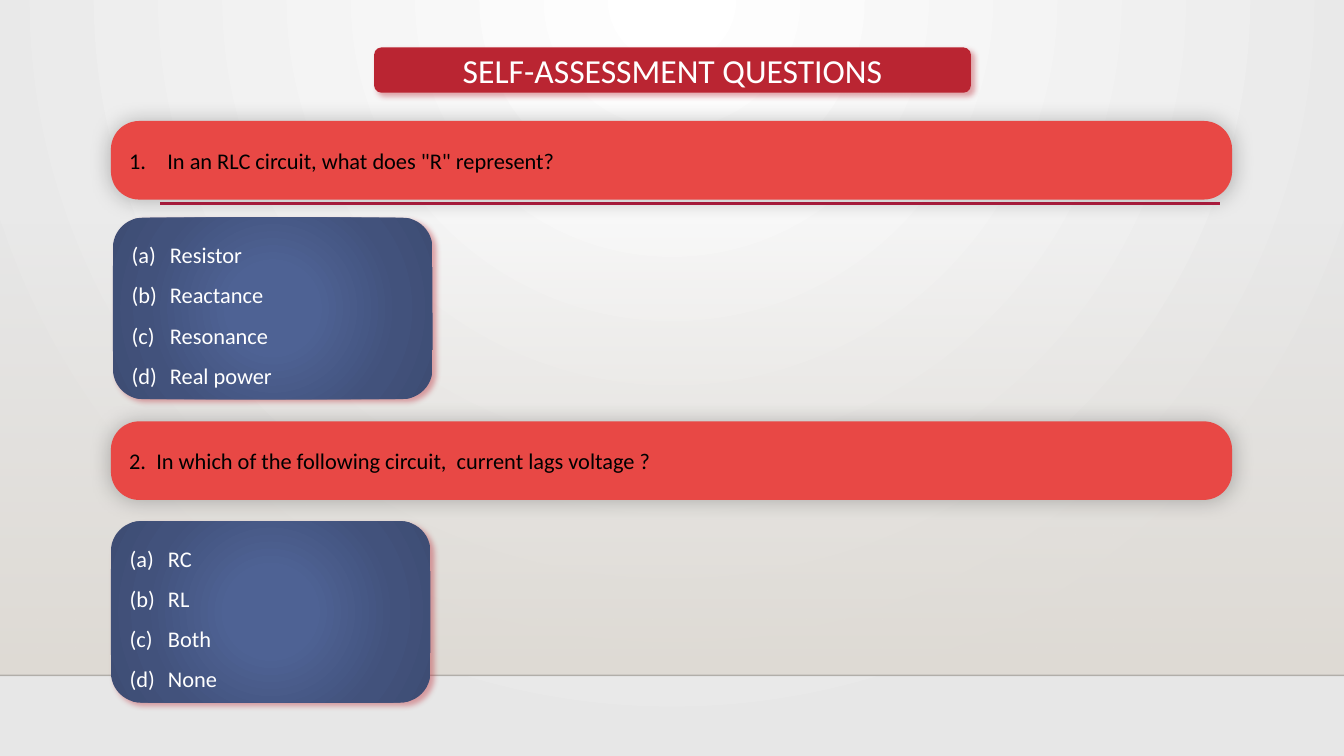
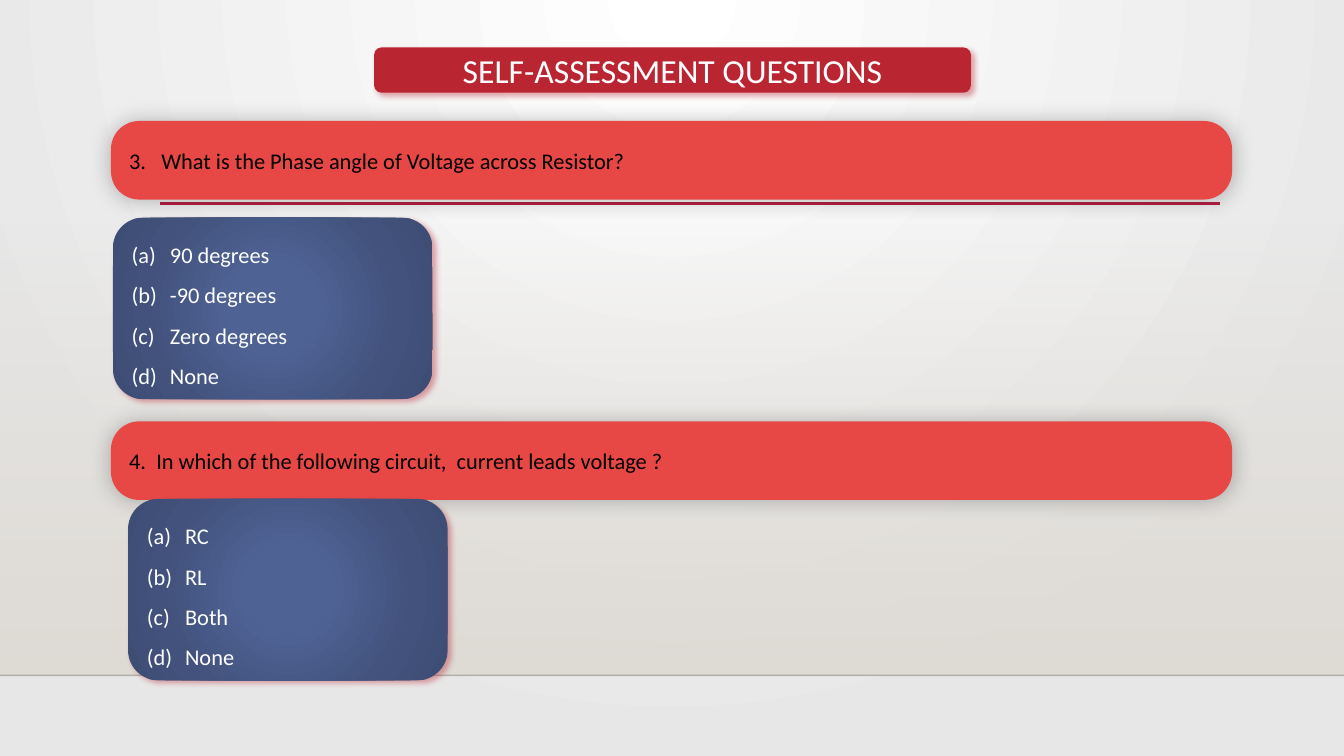
from pptx import Presentation
from pptx.dml.color import RGBColor
from pptx.enum.shapes import MSO_CONNECTOR, MSO_SHAPE
from pptx.enum.text import MSO_ANCHOR, PP_ALIGN
from pptx.oxml import parse_xml
from pptx.oxml.ns import nsdecls, qn
from pptx.util import Inches, Pt

RECT, ROUNDED = MSO_SHAPE.RECTANGLE, MSO_SHAPE.ROUNDED_RECTANGLE
STRAIGHT = MSO_CONNECTOR.STRAIGHT
MIDDLE = MSO_ANCHOR.MIDDLE
LEFT, CENTER = PP_ALIGN.LEFT, PP_ALIGN.CENTER

TITLE = "SELF-ASSESSMENT QUESTIONS"
SLIDES = [
    [
        {"number": 1, "text": "In an RLC circuit, what does \"R\" represent?", "indent": 0.38,
         "options": ["Resistor", "Reactance", "Resonance", "Real power"], "at": (1.12, 2.16)},
        {"number": 2, "text": "In which of the following circuit,  current lags voltage ?", "indent": 0.27,
         "options": ["RC", "RL", "Both", "None"], "at": (1.1, 5.17)},
    ],
    [
        {"number": 3, "text": "What is the Phase angle of Voltage across Resistor?", "indent": 0.32,
         "options": ["90 degrees", "-90 degrees", "Zero degrees", "None"], "at": (1.12, 2.16)},
        {"number": 4, "text": "In which of the following circuit,  current leads voltage ?", "indent": 0.27,
         "options": ["RC", "RL", "Both", "None"], "at": (1.27, 4.95)},
    ],
]

THEME = {
    "font": "Calibri", "title_size": 24, "body_size": 16,
    "title": "BA2532", "question": "E84845", "rule": "B71E42", "floor": "000001",
    "light": "FFFFFF", "dark": "000000",
    "backdrop": [(0, "FFFFFF", 100), (100, "E7E7E7", 100)],
    "wall": [(0, "DFDBD5", 0), (100, "DFDBD5", 100)],
    "answer": [(0, "4E6294", 100), (23, "4E6294", 100), (69, "42527C", 100), (97, "3E4D74", 100)],
    "red_shadow": ("BA2532", 40, 4, 3, 45),
    "soft_shadow": ("000000", 25, 15, 0, 0),
}
SLIDE_W, SLIDE_H, FLOOR_Y = 13.33, 7.5, 6.7
QUESTION_TOP, QUESTION_STEP = 1.2, 2.98
OPTION_INDENT = 0.38


def color_xml(color, alpha):
    return f'<a:srgbClr val="{color}"><a:alpha val="{alpha * 1000}"/></a:srgbClr>'


def set_gradient(parent, fill, stops, focus=None):
    fill.solid()
    solid = next(parent.iter(qn("a:solidFill")))
    gs = "".join(f'<a:gs pos="{pos * 1000}">{color_xml(c, alpha)}</a:gs>' for pos, c, alpha in stops)
    if focus:
        sides = " ".join(f'{side}="{v * 1000}"' for side, v in zip("ltrb", focus))
        shade = f'<a:path path="circle"><a:fillToRect {sides}/></a:path>'
    else:
        shade = '<a:lin ang="5400000" scaled="0"/>'
    grad = parse_xml(f'<a:gradFill {nsdecls("a")} rotWithShape="1"><a:gsLst>{gs}</a:gsLst>{shade}</a:gradFill>')
    solid.getparent().replace(solid, grad)


def set_shadow(sp, shadow):
    color, alpha, blur, dist, angle = shadow
    sp.element.spPr.find(qn("a:effectLst")).append(parse_xml(
        f'<a:outerShdw {nsdecls("a")} blurRad="{Pt(blur)}" dist="{Pt(dist)}" dir="{angle * 60000}" '
        f'algn="ctr" rotWithShape="0">{color_xml(color, alpha)}</a:outerShdw>'))


def add_box(s, kind, x, y, w, h, fill, focus=None, shadow=None):
    sp = s.shapes.add_shape(kind, Inches(x), Inches(y), Inches(w), Inches(h))
    sp.shadow.inherit = False
    sp.line.fill.background()
    if isinstance(fill, str):
        sp.fill.solid()
        sp.fill.fore_color.rgb = RGBColor.from_string(fill)
    else:
        set_gradient(sp.element.spPr, sp.fill, fill, focus)
    if shadow:
        set_shadow(sp, shadow)
    return sp


def add_rule(s, x1, x2, y, color, width, alpha=100):
    cx = s.shapes.add_connector(STRAIGHT, Inches(x1), Inches(y), Inches(x2), Inches(y))
    cx.line.width = Pt(width)
    cx.line.color.rgb = RGBColor.from_string(color)
    spPr = cx.element.spPr
    clr = next(spPr.iter(qn("a:srgbClr")))
    clr.append(parse_xml(f'<a:alpha {nsdecls("a")} val="{alpha * 1000}"/>'))
    spPr.append(parse_xml(f'<a:effectLst {nsdecls("a")}/>'))


def set_number(p, style, indent, start=1):
    pPr = p._p.get_or_add_pPr()
    pPr.set("marL", str(Inches(indent)))
    pPr.set("indent", str(-Inches(indent)))
    pPr.append(parse_xml(f'<a:buFont {nsdecls("a")} typeface="+mj-lt"/>'))
    pPr.append(parse_xml(f'<a:buAutoNum {nsdecls("a")} type="{style}" startAt="{start}"/>'))


def add_text(sp, lines, size, color, align=LEFT, number=None, spacing=None):
    tf = sp.text_frame
    tf.word_wrap = True
    tf.vertical_anchor = MIDDLE
    for i, line in enumerate(lines):
        p = tf.paragraphs[0] if i == 0 else tf.add_paragraph()
        p.alignment = align
        if number:
            set_number(p, *number)
        if spacing:
            p.line_spacing = spacing
        r = p.add_run()
        r.text = line
        r.font.name = THEME["font"]
        r.font.size = Pt(size)
        r.font.color.rgb = RGBColor.from_string(color)


def add_frame(s):
    set_gradient(s.element, s.background.fill, THEME["backdrop"], (43, 0, 43, 100))
    add_box(s, RECT, 0, 2.21, SLIDE_W, FLOOR_Y - 2.21, THEME["wall"])
    add_rule(s, 0, SLIDE_W, FLOOR_Y, THEME["floor"], 1, 20)
    add_rule(s, 1.59, 12.1, 2.02, THEME["rule"], 2.5)
    sp = add_box(s, ROUNDED, 3.71, 0.47, 5.92, 0.45, THEME["title"], shadow=THEME["red_shadow"])
    add_text(sp, [TITLE], THEME["title_size"], THEME["light"], CENTER)


def add_question(s, row, q):
    size = THEME["body_size"]
    sp = add_box(s, ROUNDED, 1.1, QUESTION_TOP + row * QUESTION_STEP, 11.12, 0.78,
                 THEME["question"], shadow=THEME["soft_shadow"])
    sp.adjustments[0] = 0.36
    add_text(sp, [q["text"]], size, THEME["dark"], number=("arabicPeriod", q["indent"], q["number"]))
    sp = add_box(s, ROUNDED, *q["at"], 3.17, 1.8, THEME["answer"], (50, 50, 50, 50), THEME["red_shadow"])
    add_text(sp, q["options"], size, THEME["light"],
             number=("alphaLcParenBoth", OPTION_INDENT), spacing=1.5)


def main():
    prs = Presentation()
    prs.slide_width, prs.slide_height = Inches(SLIDE_W), Inches(SLIDE_H)
    for questions in SLIDES:
        s = prs.slides.add_slide(prs.slide_layouts[6])
        add_frame(s)
        for row, q in enumerate(questions):
            add_question(s, row, q)
    prs.save("out.pptx")


if __name__ == "__main__":
    main()
